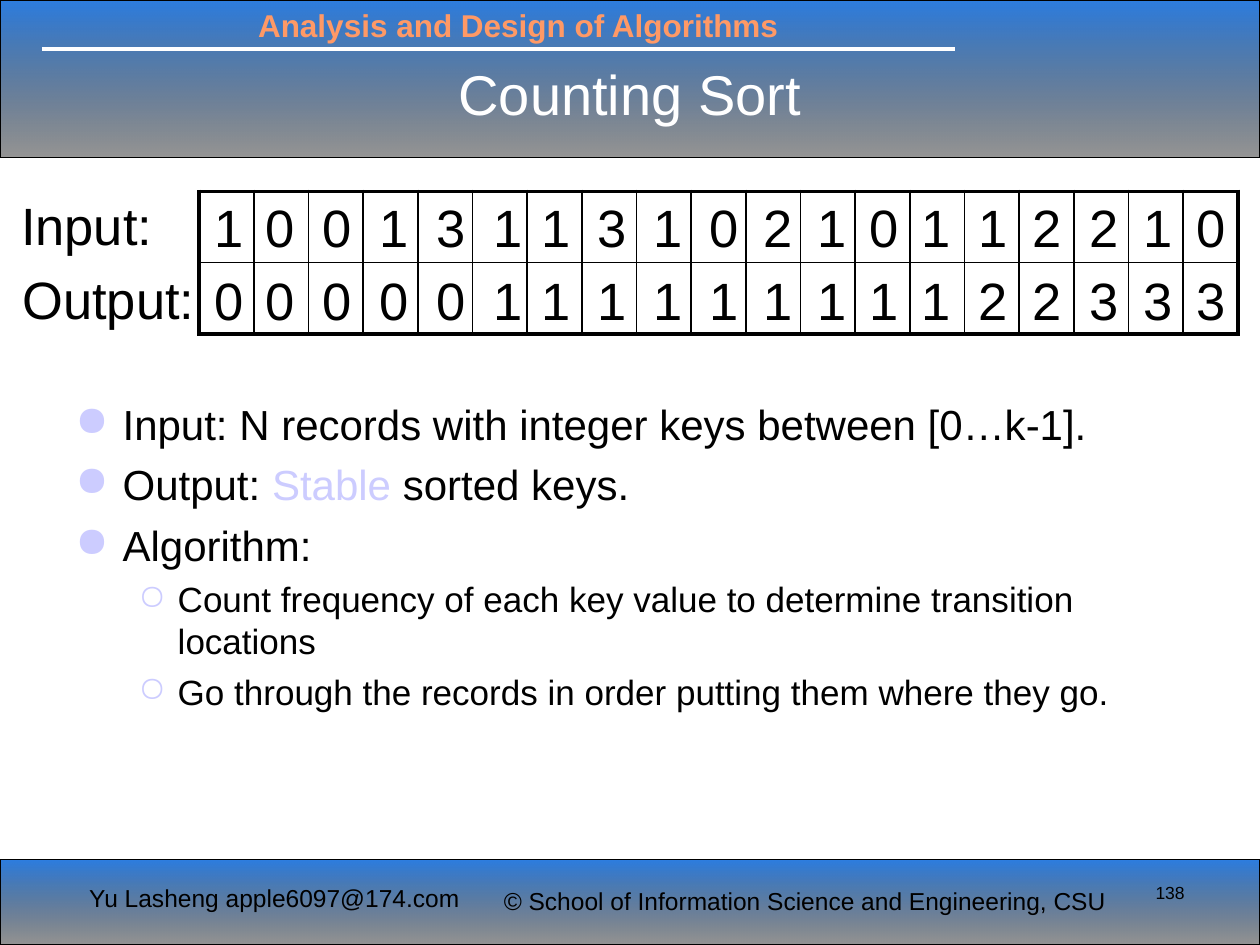
from dataclasses import dataclass

from lxml import etree
from pptx import Presentation
from pptx.dml.color import RGBColor
from pptx.enum import shapes, text
from pptx.oxml import ns
from pptx.util import Pt


@dataclass(frozen=True)
class Theme:
    """Colours, typeface and type sizes of the slide."""
    font: str = "Arial"
    ink: str = "000000"
    white: str = "FFFFFF"
    blue: str = "0E6BDC"
    orange: str = "FF9966"
    lavender: str = "CCCCFF"
    title: int = 32
    digit: int = 30
    body: int = 24
    detail: int = 20
    course: int = 18
    footer: int = 14
    number: int = 10


THEME = Theme()
INPUT_KEYS = "1001311310210112210"
OUTPUT_KEYS = "0000011111111122333"
DIGIT_OFFSETS = (1.8, 31, 63.3, 95.8, 128.5, 160.9, 188.3, 220.3, 252.4, 284.4,
                 315.7, 346.3, 375.8, 406, 438.1, 469.4, 501.5, 532.8, 563)
POINTS = (
    (0, [("Input: N records with integer keys between [0…k-1].", THEME.ink)]),
    (0, [("Output: ", THEME.ink), ("Stable", THEME.lavender), (" sorted keys.", THEME.ink)]),
    (0, [("Algorithm:", THEME.ink)]),
    (1, [("Count frequency of each key value to determine transition locations", THEME.ink)]),
    (1, [("Go through the records in order putting them where they go.", THEME.ink)]),
)
LEVELS = (
    {"size": THEME.body, "margin": 27, "indent": -27, "bullet": "●", "before": 5.75},
    {"size": THEME.detail, "margin": 58.5, "indent": -22.5, "bullet": "○", "before": 4.8},
)


def points(box):
    """Turn a box of point values into lengths."""
    return [Pt(value) for value in box]


def apply(target, formats):
    """Set each attribute in a dict of format values."""
    for name, value in formats.items():
        setattr(target, name, value)


def add_run(paragraph, wording, size, color=THEME.ink, bold=False):
    """Add one formatted run to a paragraph."""
    run = paragraph.add_run()
    run.text = wording
    apply(run.font, {"name": THEME.font, "size": Pt(size), "bold": bold})
    run.font.color.rgb = RGBColor.from_string(color)


def add_label(parent, box, wording, size, color=THEME.ink, bold=False, wrap=True,
              fit=text.MSO_AUTO_SIZE.SHAPE_TO_FIT_TEXT, align=text.PP_ALIGN.LEFT):
    """Add a text box holding one line of text."""
    label = parent.add_textbox(*points(box))
    apply(label.text_frame, {"word_wrap": wrap, "auto_size": fit})
    paragraph = label.text_frame.paragraphs[0]
    paragraph.alignment = align
    add_run(paragraph, wording, size, color, bold)


def add_band(slide, box):
    """Add a band that fades from translucent blue to translucent black."""
    band = slide.shapes.add_shape(shapes.MSO_SHAPE.RECTANGLE, *points(box))
    band.shadow.inherit = False
    band.fill.gradient()
    band.fill.gradient_angle = 270
    for stop, color, opacity in zip(band.fill.gradient_stops, (THEME.blue, THEME.ink), (88, 41)):
        stop.color.rgb = RGBColor.from_string(color)
    for color, opacity in zip(band.element.spPr.iter(ns.qn("a:srgbClr")), (88, 41)):
        etree.SubElement(color, ns.qn("a:alpha"), val=str(opacity * 1000))
    band.line.color.rgb = RGBColor.from_string(THEME.ink)
    band.line.width = Pt(0.75)


def add_header(slide, box):
    """Add the top band with course name, rule and slide title."""
    left, top, width, height = box
    add_band(slide, box)
    rule = slide.shapes.add_connector(
        shapes.MSO_CONNECTOR.STRAIGHT,
        *points((left + 24, top + 28, left + 546, top + 28)))
    rule.line.color.rgb = RGBColor.from_string(THEME.white)
    rule.line.width = Pt(2.25)
    etree.SubElement(rule.element.spPr, ns.qn("a:effectLst"))
    add_label(slide.shapes, (left + 140.4, top, 360, 28.8),
              "Analysis and Design of Algorithms", THEME.course, THEME.orange, True)
    title = slide.shapes.title
    title.element.getparent().append(title.element)
    title_box = points((left + 36, top + 21.6, width - 72, 63.4))
    apply(title, dict(zip(("left", "top", "width", "height"), title_box)))
    apply(title.text_frame, {"vertical_anchor": text.MSO_ANCHOR.MIDDLE, "word_wrap": True})
    paragraph = title.text_frame.paragraphs[0]
    paragraph.alignment = text.PP_ALIGN.CENTER
    add_run(paragraph, "Counting Sort", THEME.title, THEME.white)


def add_footer(slide, box):
    """Add the bottom band with author, school and slide number."""
    left, top, width, height = box
    add_band(slide, box)
    add_label(slide.shapes, (left + 43.9, top + 10, 231, 41),
              "Yu Lasheng apple6097@174.com", THEME.footer, wrap=False)
    add_label(slide.shapes, (left + 280.8, top + 11.5, 380, 24.5),
              "© School of Information Science and Engineering, CSU", THEME.footer)
    add_label(slide.shapes, (left + 620.6, top + 9.4, 63.4, 36), "138", THEME.number,
              fit=text.MSO_AUTO_SIZE.NONE, align=text.PP_ALIGN.RIGHT)


def add_border(cell, side, width):
    """Draw one side of a table cell."""
    line = etree.SubElement(cell._tc.get_or_add_tcPr(), ns.qn(f"a:ln{side}"), w=str(Pt(width)))
    fill = etree.SubElement(line, ns.qn("a:solidFill"))
    etree.SubElement(fill, ns.qn("a:srgbClr"), val=THEME.ink)


def add_key_grid(slide, box):
    """Add the ruled grid with a row of input keys and a row of output keys."""
    left, top, width, height = box
    rows = (INPUT_KEYS, OUTPUT_KEYS)
    count = len(INPUT_KEYS)
    table = slide.shapes.add_table(len(rows), count, *points(box)).table
    apply(table, {"first_row": False, "horz_banding": False})
    for column in table.columns:
        column.width = Pt(width / count)
    for row_index in range(len(rows)):
        for column_index in range(count):
            cell = table.cell(row_index, column_index)
            edges = {"L": column_index == 0, "R": column_index == count - 1,
                     "T": row_index == 0, "B": row_index == len(rows) - 1}
            for side, outer in edges.items():
                add_border(cell, side, 2.25 if outer else 1)
            cell.fill.background()
    for row_index, keys in enumerate(rows):
        group = slide.shapes.add_group_shape()
        row_top = top - 1.4 + row_index * 41.8
        for offset, key in zip(DIGIT_OFFSETS, keys):
            add_label(group.shapes, (left + offset, row_top, 31, 43.2), key,
                      THEME.digit, wrap=False)


def add_key_labels(slide, box):
    """Name the two rows of the key grid."""
    left, top, width, height = box
    add_label(slide.shapes, (left, top, 89.3, height), "Input:", THEME.digit, wrap=False)
    add_label(slide.shapes, (left + 0.7, top + 42.5, width, height), "Output:",
              THEME.digit, wrap=False)


def add_explanation(slide, box):
    """Add the bulleted account of the algorithm."""
    frame = slide.shapes.add_textbox(*points(box)).text_frame
    frame.word_wrap = True
    for index, (level, runs) in enumerate(POINTS):
        style = LEVELS[level]
        paragraph = frame.add_paragraph() if index else frame.paragraphs[0]
        properties = paragraph._p.get_or_add_pPr()
        properties.set("marL", str(Pt(style["margin"])))
        properties.set("indent", str(Pt(style["indent"])))
        color = etree.SubElement(properties, ns.qn("a:buClr"))
        etree.SubElement(color, ns.qn("a:srgbClr"), val=THEME.lavender)
        etree.SubElement(properties, ns.qn("a:buChar"), char=style["bullet"])
        apply(paragraph, {"level": level, "space_before": Pt(style["before"] if index else 0)})
        for wording, run_color in runs:
            add_run(paragraph, wording, style["size"], run_color)


def main():
    """Build and save the slide."""
    presentation = Presentation()
    apply(presentation, {"slide_width": Pt(720), "slide_height": Pt(540)})
    slide = presentation.slides.add_slide(presentation.slide_layouts[5])
    add_header(slide, (0, 0, 720, 90))
    add_footer(slide, (0, 491, 720, 49))
    add_explanation(slide, (36, 224, 648, 258.5))
    add_key_labels(slide, (5, 106.6, 113, 43.2))
    add_key_grid(slide, (113.8, 109.4, 594, 81.4))
    presentation.save("out.pptx")


if __name__ == "__main__":
    main()
